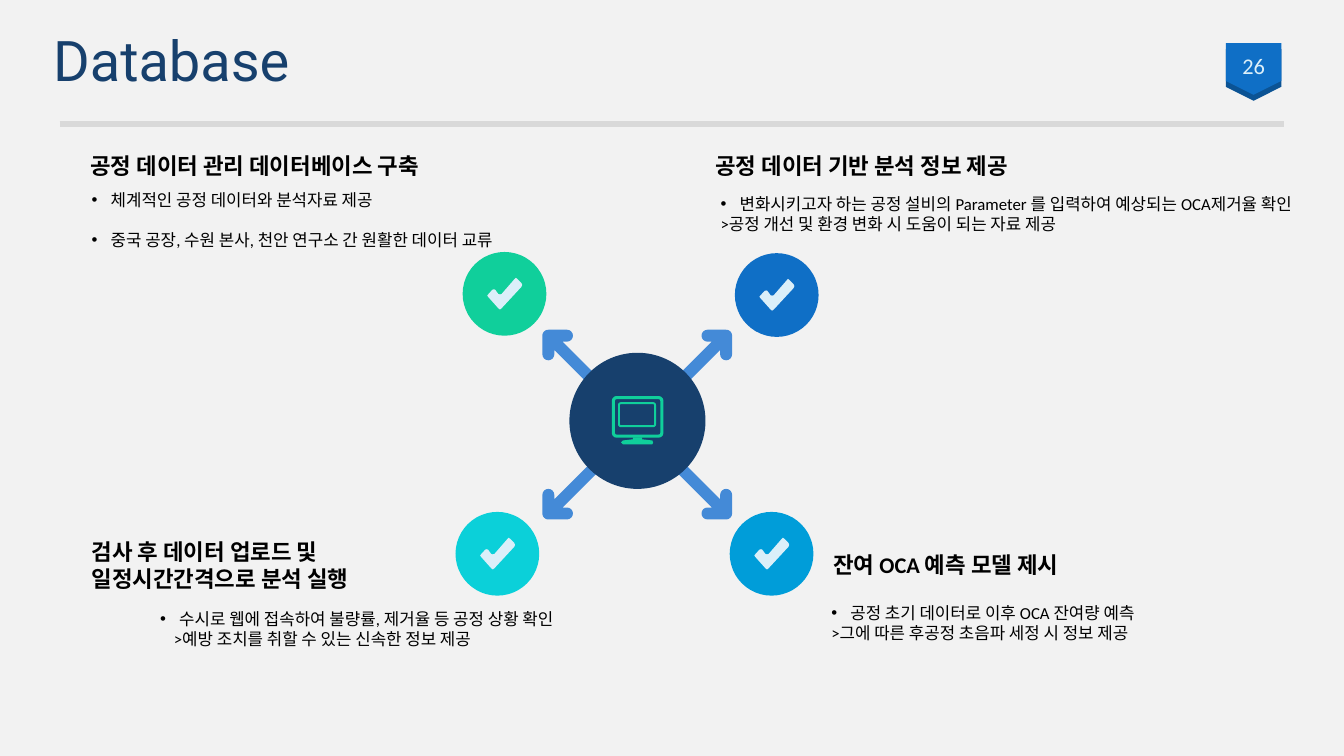
import math

from lxml import etree
from pptx import Presentation
from pptx import util as u
from pptx.dml.color import RGBColor
from pptx.enum import shapes, text
from pptx.oxml.ns import qn

NAVY, BLUE, GREEN, PALE = "17406D", "0F6FC6", "10CF9B", "DBEFF9"
CHECK_CIRCLES = [
    (18.52, 6.38, BLUE),
    (18.39, 12.9, "009DD9"),
    (11.66, 6.35, GREEN),
    (11.48, 12.9, "0BD0D9"),
]
CHECK_MARK = [
    (0.86, 0.23), (0.88, 0.18), (0.86, 0.13), (0.76, 0.03), (0.72, 0), (0.69, 0.03),
    (0.36, 0.41), (0.32, 0.42), (0.28, 0.41), (0.2, 0.3), (0.17, 0.29), (0.13, 0.3),
    (0.03, 0.41), (0, 0.45), (0.03, 0.49), (0.28, 0.77), (0.32, 0.8), (0.36, 0.77),
]
MONITOR_STAND = [
    (0.3, 0), (0.53, 0), (0.53, 0.05), (0.79, 0.08), (0.81, 0.13),
    (0.79, 0.18), (0.05, 0.18), (0, 0.13), (0.05, 0.08), (0.3, 0.05),
]
HEADINGS = [
    (2.03, 3.71, 9.55, 0.94, ["공정 데이터 관리 데이터베이스 구축"]),
    (2.06, 13.44, 7.62, 1.63, ["검사 후 데이터 업로드 및", "일정시간간격으로 분석 실행"]),
    (20.75, 13.77, 6.58, 0.94, ["잔여 OCA 예측 모델 제시"]),
    (17.78, 3.71, 8.56, 0.94, ["공정 데이터 기반 분석 정보 제공"]),
]
LEFT, CENTER, RIGHT = text.PP_ALIGN.LEFT, text.PP_ALIGN.CENTER, text.PP_ALIGN.RIGHT
DETAILS = [
    (17.91, 4.75, 15.95, 1.27, [
        ("변화시키고자 하는 공정 설비의 Parameter 를 입력하여 예상되는 OCA제거율 확인", True, LEFT, 0),
        (">공정 개선 및 환경 변화 시 도움이 되는 자료 제공", False, LEFT, 0)]),
    (20.7, 15.06, 13.16, 1.27, [
        ("공정 초기 데이터로 이후 OCA 잔여량 예측", True, LEFT, 0),
        (">그에 따른 후공정 초음파 세정 시 정보 제공", False, LEFT, 0)]),
    (2.06, 4.65, 11.63, 1.8, [
        ("체계적인 공정 데이터와 분석자료 제공", True, LEFT, 0),
        ("중국 공장, 수원 본사, 천안 연구소 간 원활한 데이터 교류", True, LEFT, 14.6)]),
    (2.06, 15.21, 12.14, 1.27, [
        ("수시로 웹에 접속하여 불량률, 제거율 등 공정 상황 확인", True, RIGHT, 0),
        (">예방 조치를 취할 수 있는 신속한 정보 제공", False, CENTER, 0)]),
]


def color(value):
    """Turn a hex string into a colour."""
    return RGBColor.from_string(value)


def paint(shape, fill):
    """Give a shape a plain fill without line or shadow."""
    shape.shadow.inherit = False
    shape.fill.solid()
    shape.fill.fore_color.rgb = color(fill)
    shape.line.fill.background()


def add_preset(page, kind, x, y, width, height, fill):
    """Add a filled preset shape."""
    shape = page.shapes.add_shape(kind, u.Cm(x), u.Cm(y), u.Cm(width), u.Cm(height))
    paint(shape, fill)
    return shape


def add_outline(page, x, y, points, fill):
    """Add a filled closed outline whose points are relative to x, y."""
    corners = [(u.Cm(x + dx), u.Cm(y + dy)) for dx, dy in points]
    builder = page.shapes.build_freeform(*corners[0], scale=1.0)
    builder.add_line_segments(corners[1:], close=True)
    paint(builder.convert_to_shape(), fill)


def add_frame(page, x, y, width, height, weight):
    """Add an unfilled rounded frame of the monitor."""
    frame = add_preset(page, shapes.MSO_SHAPE.ROUNDED_RECTANGLE, x, y, width, height, GREEN)
    frame.fill.background()
    frame.line.color.rgb = color(GREEN)
    frame.line.width = u.Pt(weight)
    frame.adjustments[0] = 0.08


def arc(x, y, radius, start, end):
    """List the points of an arc, with angles in degrees."""
    angles = [math.radians(start + (end - start) * step / 8) for step in range(9)]
    return [(x + radius * math.cos(a), y + radius * math.sin(a)) for a in angles]


def double_arrow(size):
    """List the points of a round-ended diagonal double arrow."""
    head = [(0.3, 0.51), *arc(0.15, 0.62, 0.15, 0, 180), *arc(0.15, 0.15, 0.15, 180, 270),
            *arc(0.62, 0.15, 0.15, 270, 450), (0.51, 0.3)]
    return head + [(size - x, size - y) for x, y in head]


def add_text(page, x, y, width, height, lines, size, fill, font="Calibri", bold=False):
    """Add a text box with one paragraph for each line."""
    box = page.shapes.add_textbox(u.Cm(x), u.Cm(y), u.Cm(width), u.Cm(height))
    frame = box.text_frame
    frame.word_wrap = True
    frame.text = "\n".join(lines)
    for para in frame.paragraphs:
        para.font.size = u.Pt(size)
        para.font.name = font
        para.font.bold = bold
        para.font.color.rgb = color(fill)
    return frame


def add_heading(page, x, y, width, height, lines):
    """Add a bold heading that does not wrap."""
    frame = add_text(page, x, y, width, height, lines, 16, "000000", bold=True)
    frame.word_wrap = False
    frame.auto_size = text.MSO_AUTO_SIZE.SHAPE_TO_FIT_TEXT


def add_bullet(para):
    """Set a round bullet with a hanging indent."""
    props = para._p.get_or_add_pPr()
    props.set("marL", str(u.Cm(0.48)))
    props.set("indent", str(u.Cm(-0.48)))
    etree.SubElement(props, qn("a:buFont")).set("typeface", "Arial")
    etree.SubElement(props, qn("a:buChar")).set("char", "•")


def add_details(page, x, y, width, height, items):
    """Add explanatory lines, some of them bulleted."""
    frame = add_text(page, x, y, width, height, [item[0] for item in items], 12, "000000")
    frame.auto_size = text.MSO_AUTO_SIZE.SHAPE_TO_FIT_TEXT
    for para, (_, bulleted, align, gap) in zip(frame.paragraphs, items):
        para.alignment = align
        para.space_before = u.Pt(gap)
        if bulleted:
            add_bullet(para)


def add_header(page):
    """Add the title, the rule and the page badge."""
    rule = page.shapes.add_connector(
        shapes.MSO_CONNECTOR.STRAIGHT, u.Cm(1.5), u.Cm(3.12), u.Cm(32.36), u.Cm(3.12))
    rule.line.color.rgb = color("D9D9D9")
    rule.line.width = u.Pt(4)
    etree.SubElement(rule._element.spPr, qn("a:effectLst"))
    for y, fill in ((1.19, "0B5394"), (1.04, BLUE)):
        badge = add_preset(page, shapes.MSO_SHAPE.PENTAGON, 30.94, y, 1.3, 1.4, fill)
        badge.rotation = 90
        badge.adjustments[0] = 0.27
    number = add_text(page, 30.68, 1.14, 1.83, 1.02, ["26"], 16, PALE)
    number.vertical_anchor = text.MSO_ANCHOR.MIDDLE
    number.paragraphs[0].alignment = CENTER
    title = add_text(page, 1.09, 0.41, 27.58, 2.36, ["Database"], 40, NAVY, "Roboto")
    title.vertical_anchor = text.MSO_ANCHOR.MIDDLE
    title.paragraphs[0].line_spacing = 0.9


def add_diagram(page):
    """Add the monitor hub, its arrows and the four check circles."""
    oval = shapes.MSO_SHAPE.OVAL
    size = 4.78
    falling = double_arrow(size)
    rising = [(size - x, y) for x, y in falling]
    for points in (rising, falling):
        add_outline(page, 13.67, 8.31, points, "448AD7")
    add_preset(page, oval, 14.35, 8.89, 3.43, 3.43, NAVY)
    add_frame(page, 15.6, 10.16, 0.91, 0.58, 1.4)
    add_frame(page, 15.46, 10.02, 1.22, 0.97, 2.2)
    add_outline(page, 15.65, 11.02, MONITOR_STAND, GREEN)
    for x, y, fill in CHECK_CIRCLES:
        add_preset(page, oval, x, y, 2.11, 2.11, fill)
        add_outline(page, x + 0.62, y + 0.65, CHECK_MARK, PALE)


def main():
    """Build the slide and save the deck."""
    deck = Presentation()
    deck.slide_width, deck.slide_height = u.Cm(33.87), u.Cm(19.05)
    page = deck.slides.add_slide(deck.slide_layouts[6])
    page.background.fill.solid()
    page.background.fill.fore_color.rgb = color("F2F2F2")
    add_header(page)
    add_diagram(page)
    for details in DETAILS:
        add_details(page, *details)
    for heading in HEADINGS:
        add_heading(page, *heading)
    deck.save("out.pptx")


if __name__ == "__main__":
    main()
